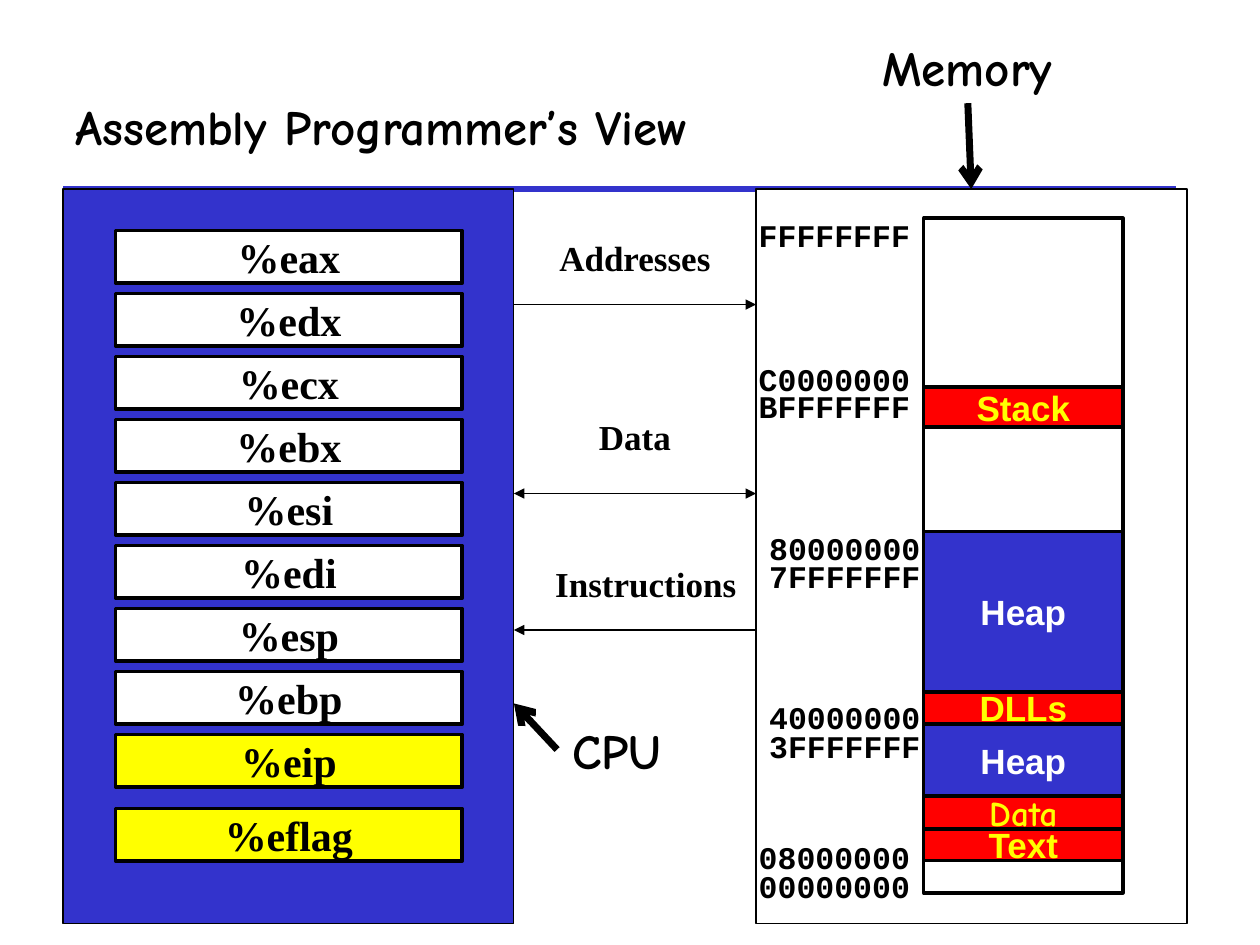
from lxml import etree
from pptx import Presentation
from pptx.dml.color import RGBColor
from pptx.enum.shapes import MSO_CONNECTOR, MSO_SHAPE
from pptx.enum.text import MSO_ANCHOR, PP_ALIGN
from pptx.oxml.ns import qn
from pptx.util import Cm, Pt

STRAIGHT = MSO_CONNECTOR.STRAIGHT
RECTANGLE = MSO_SHAPE.RECTANGLE
TOP, MIDDLE = MSO_ANCHOR.TOP, MSO_ANCHOR.MIDDLE
LEFT, CENTER = PP_ALIGN.LEFT, PP_ALIGN.CENTER
BLACK, WHITE, BLUE, RED, YELLOW = "000000", "FFFFFF", "3333CC", "FF0000", "FFFF00"
COMIC, SERIF, SANS, MONO = "Comic Neue", "Times New Roman", "Arial", "Courier New"
color = RGBColor.from_string


def add_box(left, top, width, height, fill=None, line_width=None, text="",
            size=20, font=SERIF, text_color=BLACK, wrap=False):
    """Add a bordered rectangle, or a plain text box when no line width is given."""
    area = Cm(left), Cm(top), Cm(width), Cm(height)
    if line_width is None:
        box = slide.shapes.add_textbox(*area)
    else:
        box = slide.shapes.add_shape(RECTANGLE, *area)
        box.shadow.inherit = False
        box.line.color.rgb = color(BLACK)
        box.line.width = Pt(line_width)
        if fill:
            box.fill.solid()
            box.fill.fore_color.rgb = color(fill)
        else:
            box.fill.background()
    if text:
        frame = box.text_frame
        frame.word_wrap = wrap
        frame.vertical_anchor = TOP if line_width is None else MIDDLE
        para = frame.paragraphs[0]
        para.text = text
        para.alignment = CENTER
        para.font.name, para.font.size, para.font.bold = font, Pt(size), True
        para.font.color.rgb = color(text_color)


def add_line(x1, y1, x2, y2, width=0.75, line_color=BLACK, head=None, tail=None):
    """Add a straight line; head is the arrowhead at its start, tail at its end."""
    line = slide.shapes.add_connector(STRAIGHT, Cm(x1), Cm(y1), Cm(x2), Cm(y2))
    line.line.color.rgb = color(line_color)
    line.line.width = Pt(width)
    outline = line.line._get_or_add_ln()
    for end, kind in (("a:headEnd", head), ("a:tailEnd", tail)):
        if kind:
            etree.SubElement(outline, qn(end), type=kind)
    etree.SubElement(line._element.spPr, qn("a:effectLst"))


deck = Presentation()
deck.slide_width, deck.slide_height = Cm(25.4), Cm(19.05)
slide = deck.slides.add_slide(deck.slide_layouts[5])

# Title and the rule below it
title = slide.shapes.title
title.left, title.top, title.width, title.height = Cm(1.27), Cm(1.27), Cm(22.43), Cm(2.54)
title.text_frame.vertical_anchor = MIDDLE
para = title.text_frame.paragraphs[0]
para.text = "Assembly Programmer’s View"
para.alignment = LEFT
para.font.name, para.font.size, para.font.bold = COMIC, Pt(28), True
para.font.color.rgb = color(BLACK)
add_line(1.27, 3.81, 23.7, 3.81, 3, BLUE)

# CPU and memory panels
add_box(1.27, 3.81, 9.09, 14.81, BLUE, 0.75)
add_box(15.24, 3.81, 8.69, 14.81, WHITE, 0.75)

# Memory map: four equal quarters, an outline, then the segments
MAP_LEFT, MAP_TOP, MAP_WIDTH, QUARTER = 18.62, 4.4, 4.02, 3.4
for index in range(4):
    add_box(MAP_LEFT, MAP_TOP + index * QUARTER, MAP_WIDTH, QUARTER, WHITE, 0.75)
add_box(MAP_LEFT, MAP_TOP, MAP_WIDTH, 4 * QUARTER, line_width=2)
for name, top, height, fill, text_color, font in (
    ("Stack", 7.8, 0.81, RED, YELLOW, SANS),
    ("DLLs", 13.95, 0.64, RED, YELLOW, SANS),
    ("Text", 16.71, 0.64, RED, YELLOW, SANS),
    ("Data", 16.06, 0.64, RED, YELLOW, COMIC),
    ("Heap", 14.6, 1.45, BLUE, WHITE, SANS),
    ("Heap", 10.72, 3.23, BLUE, WHITE, SANS),
):
    add_box(MAP_LEFT, top, MAP_WIDTH, height, fill, 2, name, 20, font, text_color)

# Addresses beside the map
for address, left, top in (
    ("FFFFFFFF", 15.04, 4.24),
    ("C0000000", 15.04, 7.14),
    ("BFFFFFFF", 15.04, 7.67),
    ("80000000", 15.25, 10.54),
    ("7FFFFFFF", 15.25, 11.1),
    ("40000000", 15.25, 13.95),
    ("3FFFFFFF", 15.25, 14.53),
    ("08000000", 15.04, 16.76),
    ("00000000", 15.04, 17.35),
):
    add_box(left, top, 3.56, 1.02, text=address, size=18, font=MONO)

# Registers, with the flags set slightly apart
registers = ["eax", "edx", "ecx", "ebx", "esi", "edi", "esp", "ebp", "eip", "eflag"]
for index, register in enumerate(registers):
    top = 16.3 if register == "eflag" else 4.65 + index * 1.27
    fill = YELLOW if register in ("eip", "eflag") else WHITE
    add_box(2.33, top, 6.99, 1.06, fill, 2, "%" + register, 24)

# Traffic between CPU and memory
for name, left, top, arrow_y, head, tail in (
    ("Addresses", 10.36, 4.65, 6.14, None, "triangle"),
    ("Data", 10.36, 8.26, 9.95, "triangle", "triangle"),
    ("Instructions", 10.58, 11.22, 12.7, "triangle", None),
):
    add_line(10.36, arrow_y, 15.24, arrow_y, head=head, tail=tail)
    add_box(left, top, 4.88, 1.12, text=name, wrap=True)

# Panel names with their pointers
add_box(11.28, 14.4, 2.31, 1.45, text="CPU", size=28, font=COMIC)
add_line(11.23, 15.11, 10.36, 14.18, 4, tail="arrow")
add_box(17.53, 0.64, 3.94, 1.45, text="Memory", size=28, font=COMIC)
add_line(19.51, 2.08, 19.58, 3.81, 4, tail="arrow")

deck.save("out.pptx")
